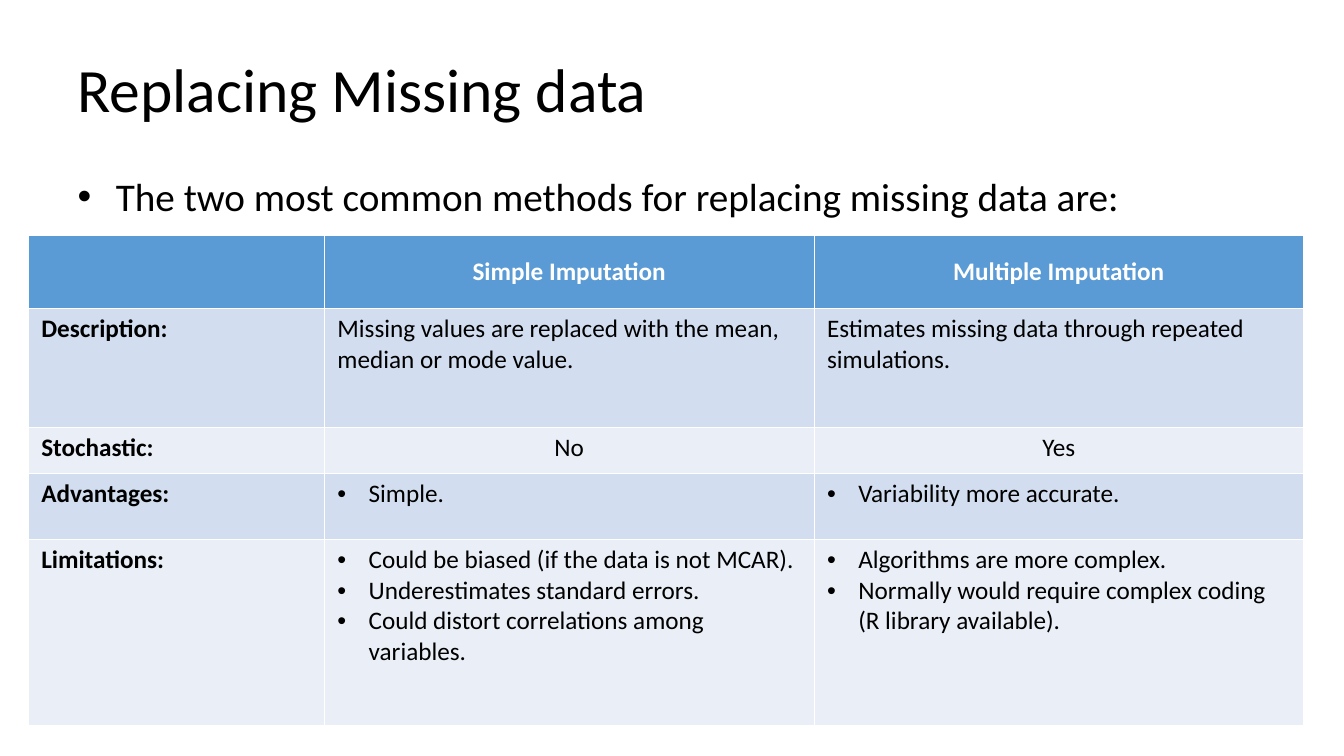
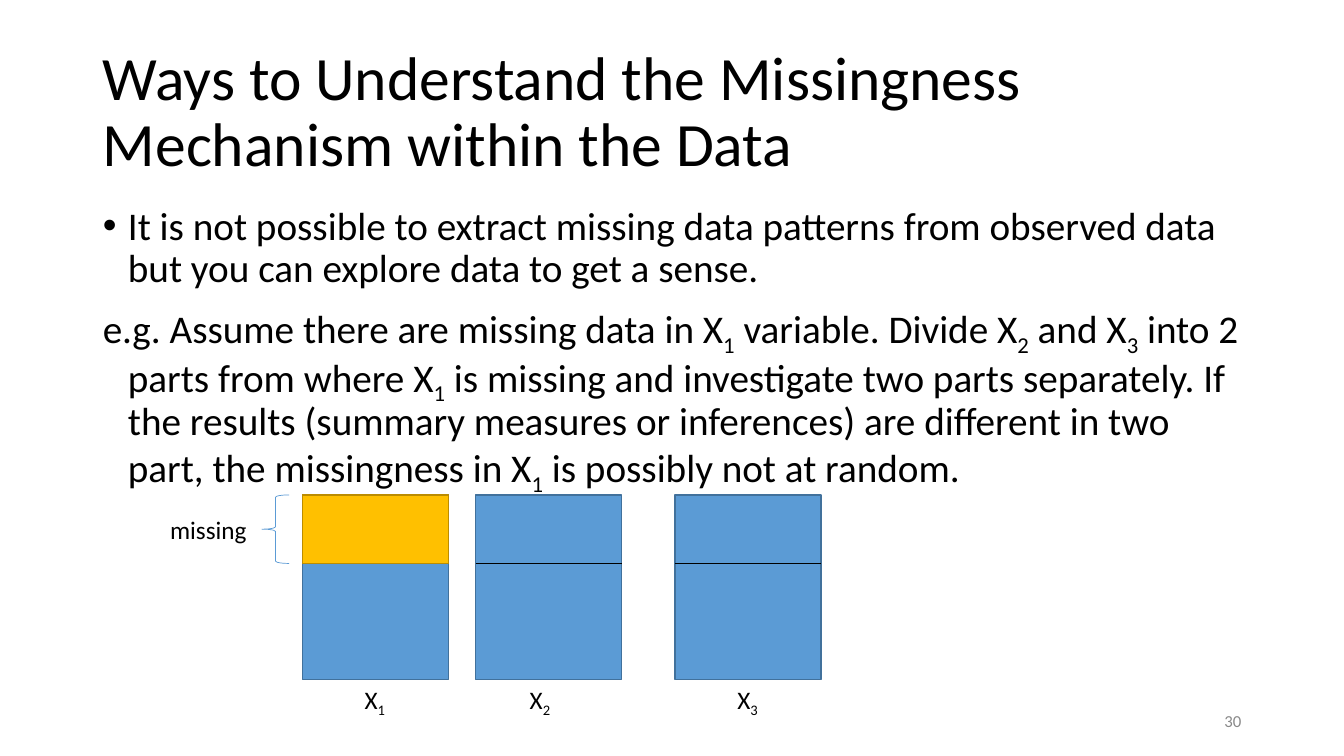
from lxml import etree
from pptx import Presentation
from pptx import util as u
from pptx.dml.color import RGBColor
from pptx.enum import shapes, text
from pptx.oxml import ns

PX = 9144
FONT = "Calibri"
BLACK = RGBColor(0, 0, 0)
WHITE = RGBColor(255, 255, 255)
BLUE = RGBColor(0x5B, 0x9B, 0xD5)
BLUE_EDGE = RGBColor(0x41, 0x71, 0x9C)
GOLD = RGBColor(0xFF, 0xC0, 0x00)
GOLD_EDGE = RGBColor(0xBC, 0x8C, 0x00)
BANDS = (RGBColor(0xD2, 0xDE, 0xEF), RGBColor(0xEA, 0xEF, 0xF7))
GREY = RGBColor(0x89, 0x89, 0x89)
LEFT, CENTER, RIGHT = text.PP_ALIGN.LEFT, text.PP_ALIGN.CENTER, text.PP_ALIGN.RIGHT
TOP, MIDDLE = text.MSO_ANCHOR.TOP, text.MSO_ANCHOR.MIDDLE

METHODS = [
    ("Description:", ["Missing values are replaced with the mean, median or mode value."],
     ["Estimates missing data through repeated simulations."], {}),
    ("Stochastic:", ["No"], ["Yes"], {"align": CENTER}),
    ("Advantages:", ["Simple."], ["Variability more accurate."], {"bullet": True, "hang": 31}),
    ("Limitations:",
     ["Could be biased (if the data is not MCAR).", "Underestimates standard errors.",
      "Could distort correlations among variables."],
     ["Algorithms are more complex.",
      "Normally would require complex coding (R library available)."],
     {"bullet": True, "hang": 31}),
]
COLUMN_WIDTHS = (294, 486, 486)
ROW_HEIGHTS = (73, 118, 46, 65, 185)


def px(*lengths):
    """Turn whole pixels into EMU."""
    return [u.Emu(length * PX) for length in lengths]


def write(frame, content, size=18, color=BLACK, bold=False, align=LEFT,
          bullet=False, hang=0, spacing=1.0, before=0):
    """Add one paragraph, where an underscore lowers the next character."""
    paragraph = frame.add_paragraph() if frame.text else frame.paragraphs[0]
    paragraph.alignment = align
    paragraph.line_spacing = spacing
    paragraph.space_before = u.Pt(before)
    properties = paragraph._p.get_or_add_pPr()
    properties.set("marL", str(hang * PX))
    properties.set("indent", str(-hang * PX))
    if bullet:
        etree.SubElement(properties, ns.qn("a:buFont"), typeface="Arial")
        etree.SubElement(properties, ns.qn("a:buChar"), char="•")
    else:
        etree.SubElement(properties, ns.qn("a:buNone"))

    first, *lowered = content.split("_")
    pieces = [(first, False)]
    for part in lowered:
        pieces += [(part[0], True), (part[1:], False)]
    for piece, is_subscript in pieces:
        if piece:
            run = paragraph.add_run()
            run.text = piece
            run.font.name, run.font.size, run.font.bold = FONT, u.Pt(size), bold
            run.font.color.rgb = color
            if is_subscript:
                run._r.get_or_add_rPr().set("baseline", "-25000")


def place(placeholder, box, anchor):
    """Move a placeholder and return its text frame."""
    placeholder.left, placeholder.top, placeholder.width, placeholder.height = px(*box)
    frame = placeholder.text_frame
    frame.auto_size = text.MSO_AUTO_SIZE.NONE
    frame.word_wrap = True
    frame.vertical_anchor = anchor
    return frame


def add_slide(deck, heading, title_box, body_box):
    """Add a titled slide and return it with its body frame."""
    slide = deck.slides.add_slide(deck.slide_layouts[1])
    write(place(slide.shapes.title, title_box, MIDDLE), heading, size=44, spacing=0.9)
    return slide, place(slide.placeholders[1], body_box, TOP)


def add_label(slide, box, content, wrap=False, anchor=TOP, **style):
    """Add a small free-standing text."""
    frame = slide.shapes.add_textbox(*px(*box)).text_frame
    frame.word_wrap = wrap
    frame.vertical_anchor = anchor
    write(frame, content, **style)


def add_block(slide, box, edge, fill=None, kind=shapes.MSO_SHAPE.RECTANGLE, weight=1):
    """Add an outlined shape, filled if a fill is given."""
    block = slide.shapes.add_shape(kind, *px(*box))
    block.shadow.inherit = False
    if fill is None:
        block.fill.background()
    else:
        block.fill.solid()
        block.fill.fore_color.rgb = fill
    block.line.color.rgb = edge
    block.line.width = u.Pt(weight)


def add_divider(slide, left, top, width):
    """Add a thin horizontal line."""
    divider = slide.shapes.add_connector(
        shapes.MSO_CONNECTOR.STRAIGHT, *px(left, top, left + width, top))
    divider.line.color.rgb = BLACK
    divider.line.width = u.Pt(0.5)
    etree.SubElement(divider._element.spPr, ns.qn("a:effectLst"))


def style_cell(cell, fill, heavy_sides=""):
    """Give a cell its white borders, fill and margins."""
    properties = cell._tc.get_or_add_tcPr()
    for side in "LRTB":
        weight = u.Pt(1.47 if side in heavy_sides else 0.45)
        border = etree.SubElement(properties, ns.qn(f"a:ln{side}"), w=str(weight))
        solid = etree.SubElement(border, ns.qn("a:solidFill"))
        etree.SubElement(solid, ns.qn("a:srgbClr"), val=str(WHITE))
    cell.fill.solid()
    cell.fill.fore_color.rgb = fill
    cell.margin_left, cell.margin_top, cell.margin_right, cell.margin_bottom = px(13, 5, 13, 5)


def add_methods_table(slide):
    """Add the comparison of the two imputation methods."""
    table = slide.shapes.add_table(
        len(ROW_HEIGHTS), len(COLUMN_WIDTHS),
        *px(28, 233, sum(COLUMN_WIDTHS), sum(ROW_HEIGHTS))).table
    table.first_row = table.horz_banding = False
    for column, width in zip(table.columns, px(*COLUMN_WIDTHS)):
        column.width = width
    for row, height in zip(table.rows, px(*ROW_HEIGHTS)):
        row.height = height

    for index, heading in enumerate(("", "Simple Imputation", "Multiple Imputation")):
        cell = table.cell(0, index)
        style_cell(cell, BLUE, "B")
        cell.vertical_anchor = MIDDLE
        write(cell.text_frame, heading, color=WHITE, bold=True, align=CENTER)

    for number, (label, simple, multiple, style) in enumerate(METHODS, start=1):
        for index, lines in enumerate(([label], simple, multiple)):
            cell = table.cell(number, index)
            style_cell(cell, BANDS[(number - 1) % 2], "T" if number == 1 else "")
            for line in lines:
                if index == 0:
                    write(cell.text_frame, line, bold=True)
                else:
                    write(cell.text_frame, line, **style)


def add_variable_diagram(slide):
    """Add the three variables, split where the first is missing."""
    top, height, missing_height, width = 491, 183, 68, 145
    for number, (left, label_left) in enumerate(((300, 352), (472, 516), (670, 722)), start=1):
        add_block(slide, (left, top, width, height), BLUE_EDGE, BLUE)
        if number == 1:
            add_block(slide, (left, top, width, missing_height), GOLD_EDGE, GOLD)
        else:
            add_divider(slide, left, top + missing_height, width)
        add_label(slide, (label_left, top + height, 40, 44), f"X_{number}")
    add_block(slide, (260, top, 27, missing_height), BLUE,
              kind=shapes.MSO_SHAPE.LEFT_BRACE, weight=0.5)
    add_label(slide, (159, 505, 96, 40), "missing")


def main():
    """Build and save the deck."""
    deck = Presentation()
    deck.slide_width, deck.slide_height = px(1334, 750)

    slide, body = add_slide(deck, "Replacing Missing data",
                            (67, 17, 1156, 150), (67, 175, 1222, 50))
    write(body, "The two most common methods for replacing missing data are:",
          size=28, bullet=True, hang=38, spacing=0.8, before=10)
    add_methods_table(slide)

    slide, body = add_slide(deck, "Ways to Understand the Missingness Mechanism within the Data",
                            (92, 40, 1150, 145), (92, 200, 1150, 476))
    prose = {"size": 28, "hang": 25, "spacing": 0.9, "before": 10}
    write(body, "It is not possible to extract missing data patterns from observed data "
                "but you can explore data to get a sense.", bullet=True, **prose)
    write(body, "e.g. Assume there are missing data in X_1 variable. Divide X_2 and X_3 into 2 "
                "parts from where X_1 is missing and investigate two parts separately. If the "
                "results (summary measures or inferences) are different in two part, the "
                "missingness in X_1 is possibly not at random.", **prose)
    add_variable_diagram(slide)
    add_label(slide, (942, 695, 300, 40), "30", wrap=True, anchor=MIDDLE,
              size=12, color=GREY, align=RIGHT)

    deck.save("out.pptx")


if __name__ == "__main__":
    main()
